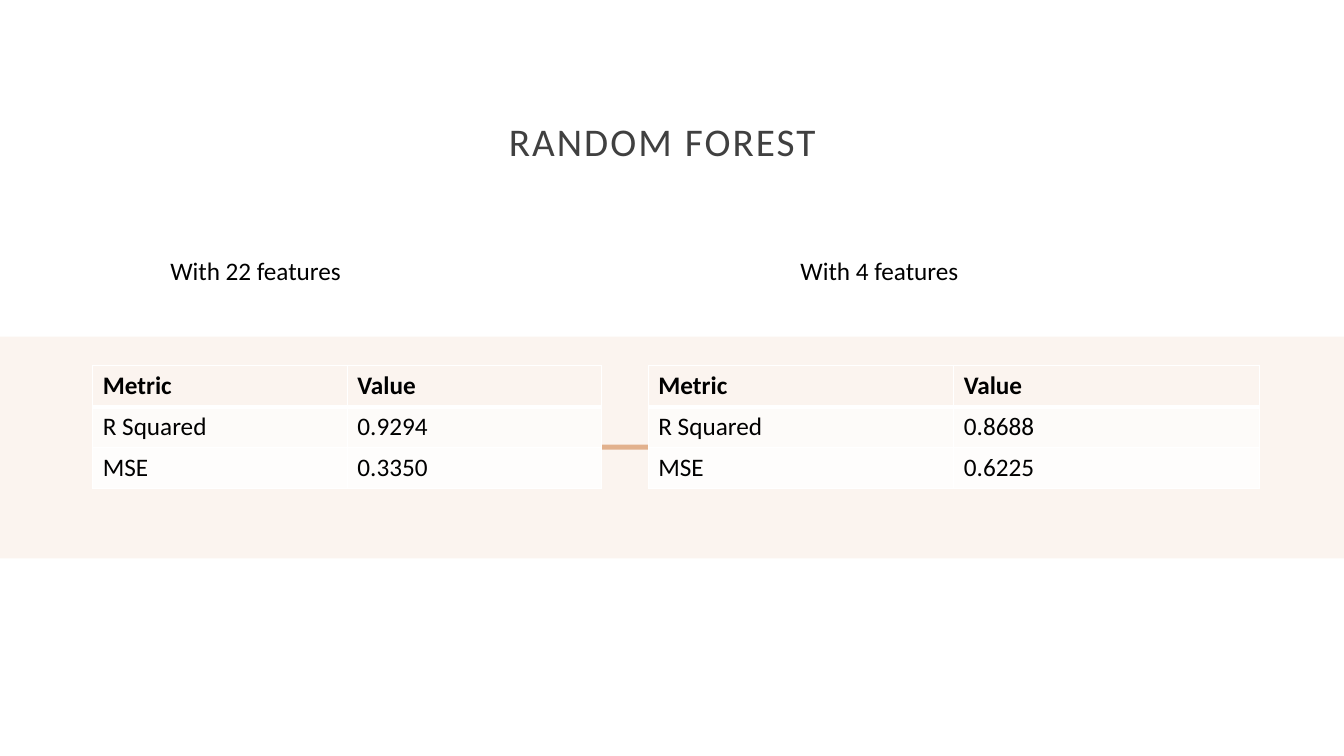
import pptx
import pptx.util
import pptx.dml.color
import pptx.enum.shapes
import pptx.enum.text
import pptx.oxml

Inches = pptx.util.Inches
Pt = pptx.util.Pt
RGBColor = pptx.dml.color.RGBColor

WHITE = RGBColor(0xFF, 0xFF, 0xFF)
BLACK = RGBColor(0, 0, 0)
GRAY = RGBColor(0x40, 0x40, 0x40)
CREAM = RGBColor(0xFB, 0xF4, 0xEF)
TAN = RGBColor(0xE2, 0xB1, 0x8D)
ROWS = [CREAM, RGBColor(0xFD, 0xFB, 0xF9), RGBColor(0xFE, 0xFD, 0xFC)]
LINE = ('<a:{} xmlns:a="http://schemas.openxmlformats.org/drawingml/2006/main" w="{}">'
        '<a:solidFill><a:srgbClr val="{}"/></a:solidFill></a:{}>')


def style(frame, size, color, bold=False):
    font = frame.paragraphs[0].runs[0].font
    font.name = "Calibri"
    font.size = Pt(size)
    font.color.rgb = color
    font.bold = bold


def edge(cell, side, width):
    xml = LINE.format(side, Pt(width), WHITE, side)
    cell._tc.get_or_add_tcPr().append(pptx.oxml.parse_xml(xml))


deck = pptx.Presentation()
deck.slide_width = Inches(13.33)
deck.slide_height = Inches(7.5)
slide = deck.slides.add_slide(deck.slide_layouts[6])
slide.background.fill.solid()
slide.background.fill.fore_color.rgb = WHITE
shapes = slide.shapes

# Band and the bar across it
for left, top, width, height, color in [
    (0, 3.34, 13.33, 2.2, CREAM),
    (1.02, 4.41, 11.3, 0.05, TAN),
]:
    band = shapes.add_shape(pptx.enum.shapes.MSO_SHAPE.RECTANGLE, Inches(left),
                            Inches(top), Inches(width), Inches(height))
    band.shadow.inherit = False
    band.fill.solid()
    band.fill.fore_color.rgb = color
    band.line.fill.background()

# Title
title = shapes.add_textbox(Inches(0.1), Inches(0.7), Inches(12.94), Inches(1.45)).text_frame
title.word_wrap = True
title.vertical_anchor = pptx.enum.text.MSO_ANCHOR.MIDDLE
title.text = "RANDOM FOREST"
style(title, 28, GRAY)
head = title.paragraphs[0]
head.alignment = pptx.enum.text.PP_ALIGN.CENTER
head.line_spacing = 0.9
head.runs[0].font._element.set("spc", "150")

# Result tables
for left, width, square, error in [
    (0.92, 5.05, "0.9294", "0.3350"),
    (6.43, 6.06, "0.8688", "0.6225"),
]:
    data = [("Metric", "Value"), ("R Squared", square), ("MSE", error)]
    table = shapes.add_table(3, 2, Inches(left), Inches(3.63),
                             Inches(width), Inches(1.22)).table
    for r, texts in enumerate(data):
        table.rows[r].height = Inches(1.22 / 3)
        for c, text in enumerate(texts):
            cell = table.cell(r, c)
            cell.text = text
            style(cell.text_frame, 18, BLACK, r == 0)
            # The rule under the header row is thicker
            edge(cell, "lnL", 1)
            edge(cell, "lnR", 1)
            edge(cell, "lnT", 3 if r == 1 else 1)
            edge(cell, "lnB", 3 if r == 0 else 1)
            cell.fill.solid()
            cell.fill.fore_color.rgb = ROWS[r]

# Captions
for left, text, wrap in [(1.59, "With 22 features", False), (7.84, "With 4 features", True)]:
    note = shapes.add_textbox(Inches(left), Inches(2.48), Inches(1.99), Inches(0.4)).text_frame
    note.word_wrap = wrap
    note.auto_size = pptx.enum.text.MSO_AUTO_SIZE.SHAPE_TO_FIT_TEXT
    note.text = text
    style(note, 18, BLACK)

deck.save("out.pptx")
